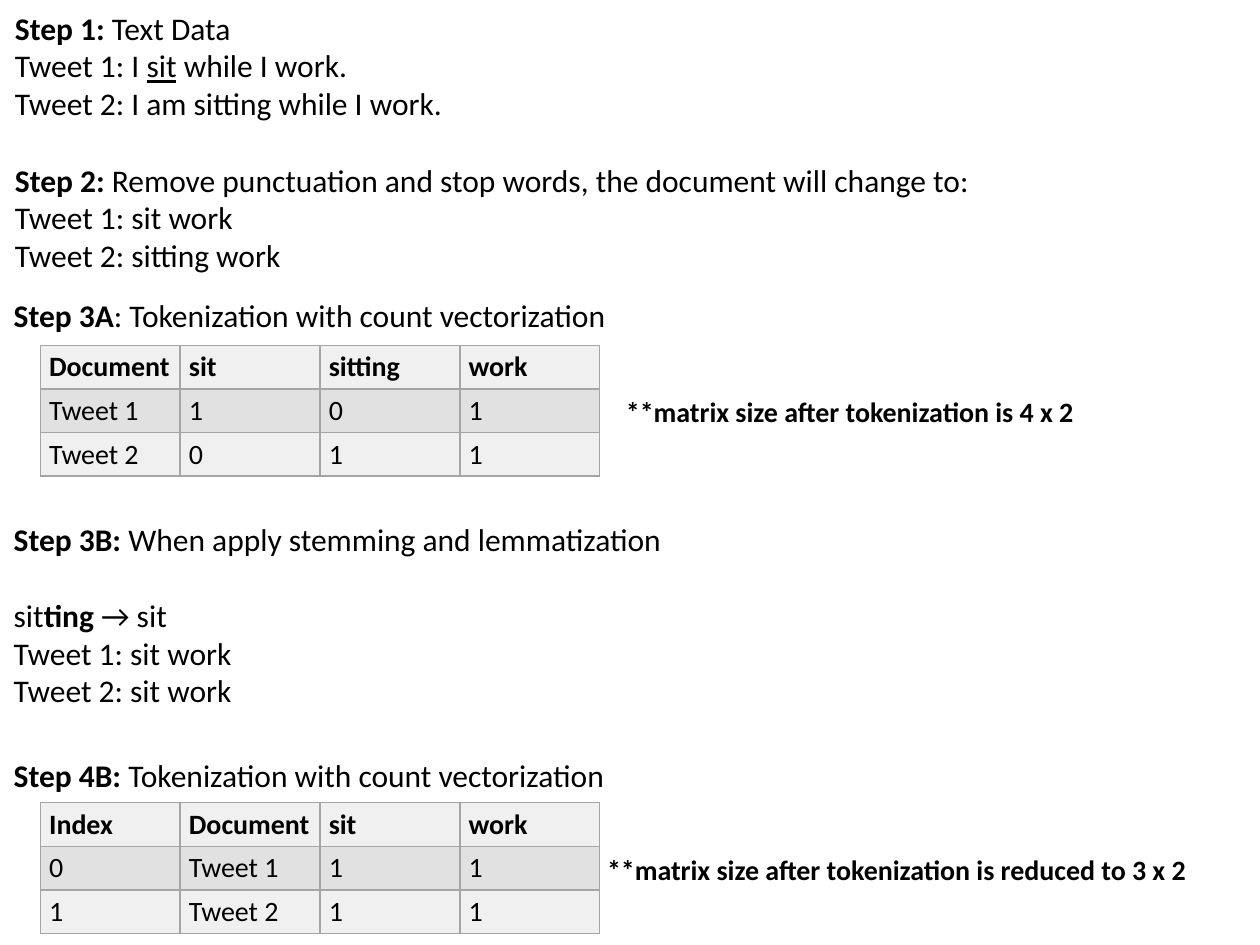
from lxml.etree import SubElement
from pptx import Presentation
from pptx.dml.color import RGBColor
from pptx.enum.text import MSO_AUTO_SIZE
from pptx.oxml.ns import qn
from pptx.util import Inches, Pt

COLORS = {"text": "000000", "border": "A5A5A5", "light": "F0F0F0", "dark": "E1E1E1"}


class Slide:
    font = "Calibri"

    def __init__(self, deck):
        self.page = deck.slides.add_slide(deck.slide_layouts[6])

    def style(self, para, size, bold=None):
        para.font.name = self.font
        para.font.size = Pt(size)
        para.font.bold = bold
        para.font.color.rgb = RGBColor.from_string(COLORS["text"])

    def text(self, left, top, width, height, lines, size=18):
        box = self.page.shapes.add_textbox(*map(Inches, (left, top, width, height)))
        frame = box.text_frame
        frame.word_wrap = True
        frame.auto_size = MSO_AUTO_SIZE.SHAPE_TO_FIT_TEXT
        for index, (spans, spacing, before) in enumerate(lines):
            para = frame.add_paragraph() if index else frame.paragraphs[0]
            self.style(para, size)
            para.line_spacing = spacing
            para.space_before = Pt(before)
            for words, look in spans:
                span = para.add_run()
                span.text = words
                span.font.bold = look == "bold"
                if look == "underline":
                    span.font.underline = True

    def step(self, left, top, width, height, label, title):
        self.text(left, top, width, height, [line(bold(label), plain(title))])

    def note(self, left, top, words):
        self.text(left, top, 5.9, 0.37, [line(bold(words))], size=16)

    def border(self, cell):
        properties = cell._tc.get_or_add_tcPr()
        for index, side in enumerate(("a:lnL", "a:lnR", "a:lnT", "a:lnB")):
            edge = properties.makeelement(qn(side), {"w": str(Pt(1))})
            fill = SubElement(edge, qn("a:solidFill"))
            SubElement(fill, qn("a:srgbClr"), val=COLORS["border"])
            properties.insert(index, edge)

    def table(self, left, top, rows, column=1.11, height=0.34):
        count = len(rows[0])
        frame = self.page.shapes.add_table(
            len(rows), count, Inches(left), Inches(top),
            Inches(column * count), Inches(height * len(rows)))
        grid = frame.table
        for row_index, values in enumerate(rows):
            grid.rows[row_index].height = Inches(height)
            shade = COLORS["dark" if row_index % 2 else "light"]
            for column_index, value in enumerate(values):
                cell = grid.cell(row_index, column_index)
                cell.text = value
                cell.margin_left = cell.margin_right = Inches(0.07)
                cell.margin_top = cell.margin_bottom = Inches(0.04)
                cell.fill.solid()
                cell.fill.fore_color.rgb = RGBColor.from_string(shade)
                self.style(cell.text_frame.paragraphs[0], 16, row_index == 0)
                self.border(cell)


def bold(words):
    return words, "bold"


def plain(words):
    return words, "plain"


def line(*spans, spacing=1.0, before=0):
    return spans, spacing, before


deck = Presentation()
deck.slide_width, deck.slide_height = Inches(10), Inches(7.5)
slide = Slide(deck)

slide.text(0.02, -0.13, 8.76, 2.37, [
    line(bold("Step 1: "), plain("Text Data"), spacing=1.5),
    line(plain("Tweet 1: I "), ("sit", "underline"), plain(" while I work.")),
    line(plain("Tweet 2: I am sitting while I work.")),
    line(bold("Step 2: "),
         plain("Remove punctuation and stop words, the document will change to:"), before=22),
    line(plain("Tweet 1: sit work")),
    line(plain("Tweet 2: sitting work")),
])

slide.table(0.32, 2.74, [
    ("Document", "sit", "sitting", "work"),
    ("Tweet 1", "1", "0", "1"),
    ("Tweet 2", "0", "1", "1"),
])
slide.step(0.01, 2.3, 5.05, 0.4, "Step 3A", ": Tokenization with count vectorization")
slide.note(4.87, 3.08, "**matrix size after tokenization is 4 x 2")

slide.table(0.32, 6.37, [
    ("Index", "Document", "sit", "work"),
    ("0", "Tweet 1", "1", "1"),
    ("1", "Tweet 2", "1", "1"),
])
slide.note(4.72, 6.72, "**matrix size after tokenization is reduced to 3 x 2")

slide.text(0.01, 3.93, 5.78, 1.77, [
    line(bold("Step 3B: "), plain("When apply stemming and lemmatization"), spacing=1.5),
    line(plain("sit"), bold("ting "), plain("→ sit"), spacing=2.0),
    line(plain("Tweet 1: sit work")),
    line(plain("Tweet 2: sit work")),
])
slide.step(0.01, 5.95, 5.05, 0.4, "Step 4B: ", "Tokenization with count vectorization")

deck.save("out.pptx")
